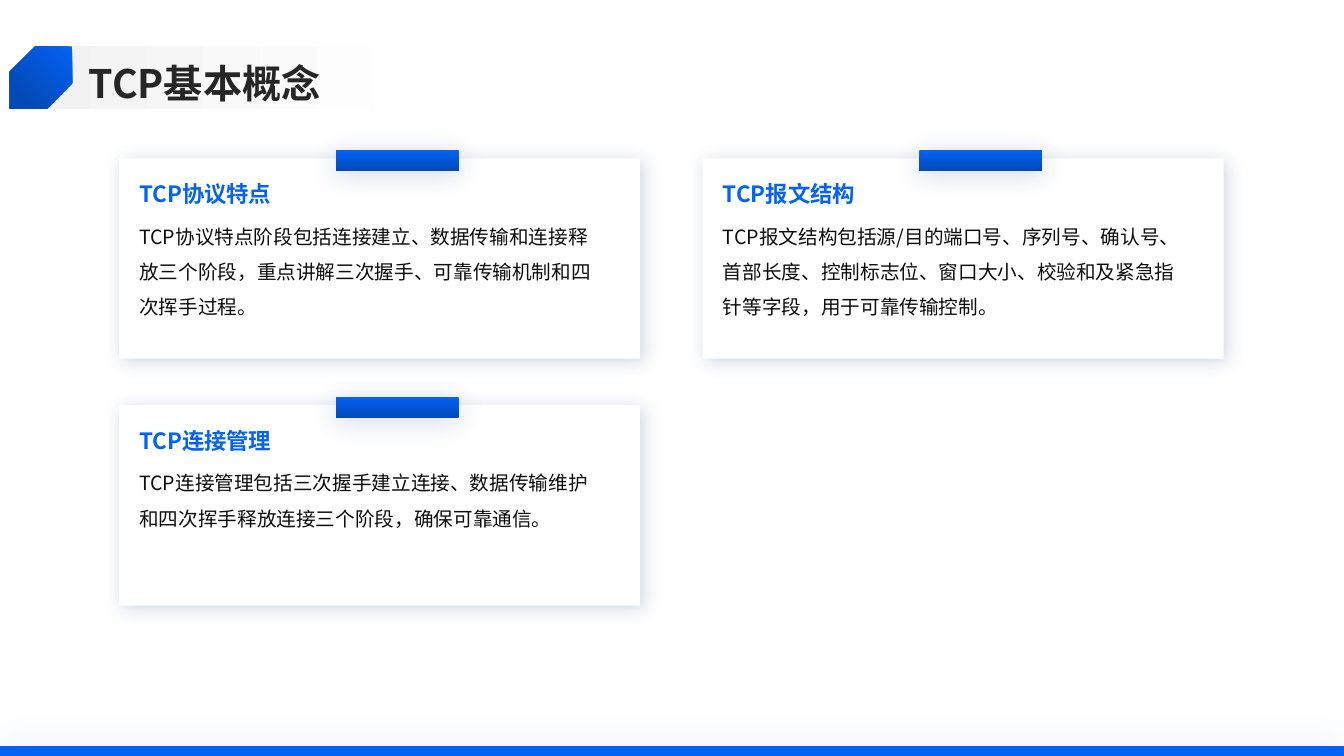
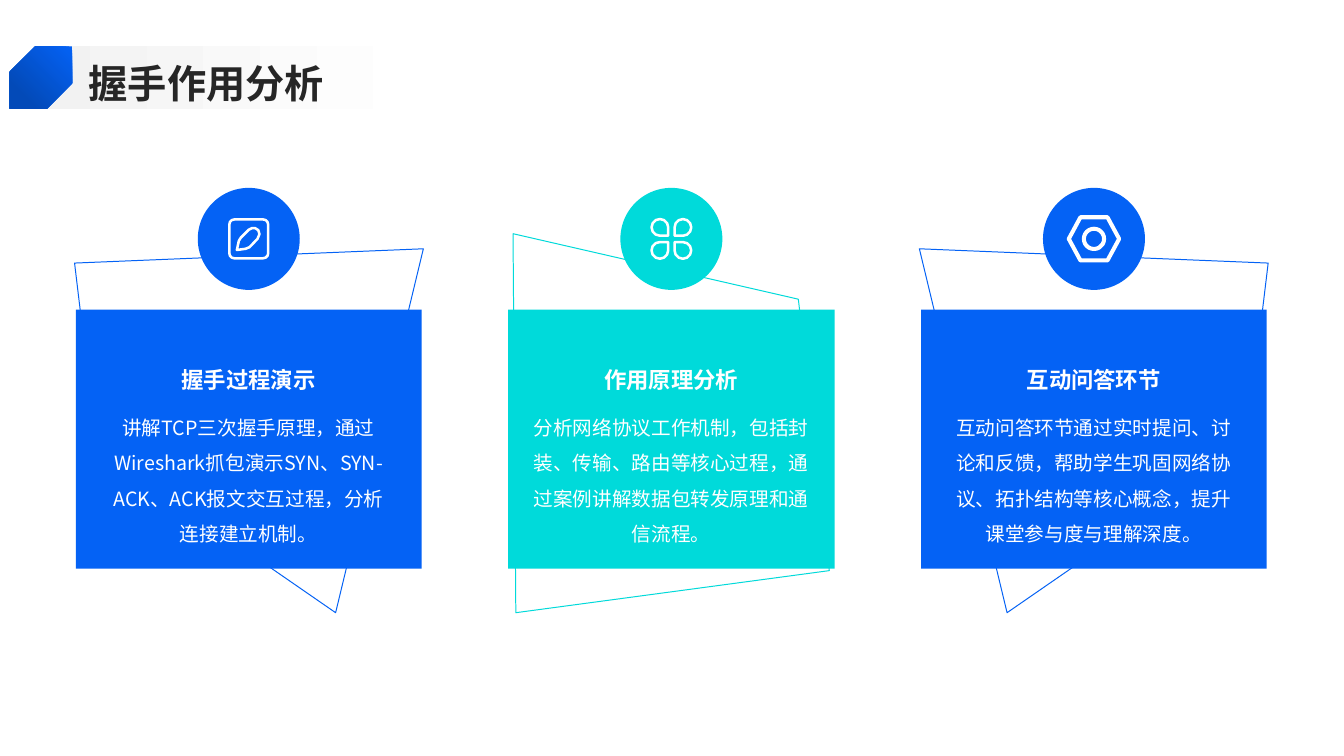
from dataclasses import dataclass
from typing import Callable, NamedTuple, Optional

from lxml import etree
from pptx import Presentation
from pptx.dml.color import RGBColor
from pptx.enum.lang import MSO_LANGUAGE_ID
from pptx.enum.shapes import MSO_SHAPE
from pptx.enum.text import MSO_ANCHOR, PP_ALIGN
from pptx.oxml.ns import qn
from pptx.util import Cm, Pt

RECT, OVAL = MSO_SHAPE.RECTANGLE, MSO_SHAPE.OVAL
ROUNDED, TEARDROP = MSO_SHAPE.ROUNDED_RECTANGLE, MSO_SHAPE.TEAR
HEXAGON, SNIPPED = MSO_SHAPE.HEXAGON, MSO_SHAPE.SNIP_2_DIAG_RECTANGLE
TOP, MIDDLE, BOTTOM = MSO_ANCHOR.TOP, MSO_ANCHOR.MIDDLE, MSO_ANCHOR.BOTTOM
LEFT, CENTER = PP_ALIGN.LEFT, PP_ALIGN.CENTER
CHINESE = MSO_LANGUAGE_ID.SIMPLIFIED_CHINESE

SLIDE_W, SLIDE_H = 33.87, 19.05
FONT = "Noto Sans CJK SC"
COLORS = {
    "blue": "0462F5",
    "deep_blue": "034AB8",
    "cyan": "00DADA",
    "white": "FFFFFF",
    "title_band": "F2F2F2",
    "title": "262626",
    "body": "0D0D0D",
    "shade": "02317B",
}

Points = list[tuple[float, float]]


class Box(NamedTuple):
    """Left, top, width and height in centimetres."""
    left: float
    top: float
    width: float
    height: float


class Gradient(NamedTuple):
    start: str
    end: str
    end_at: float
    clockwise: int


class Shadow(NamedTuple):
    color: str
    opacity: int
    blur: int
    distance: int
    direction: int


class TextStyle(NamedTuple):
    size: int
    color: str
    bold: bool = False
    spacing: float = 1.0
    align: PP_ALIGN = LEFT
    anchor: MSO_ANCHOR = TOP


@dataclass(frozen=True)
class Card:
    column: int
    row: int
    heading: str
    body: str


@dataclass(frozen=True)
class Panel:
    heading: str
    body: str
    color: str
    width: float
    outline: Points
    draw_icon: Callable


TITLE = TextStyle(28, "title", True, 1.1, anchor=MIDDLE)
CARD_HEADING = TextStyle(16, "blue", True)
CARD_BODY = TextStyle(14, "body", spacing=1.5)
PANEL_HEADING = TextStyle(16, "white", True, 1.3, CENTER, BOTTOM)
PANEL_BODY = TextStyle(14, "white", False, 1.5, CENTER)

BAND_FADE = Gradient("title_band", "white", 0.8, 0)
BADGE_FADE = Gradient("blue", "deep_blue", 0.8, 45)
TAB_FADE = Gradient("blue", "deep_blue", 1.0, 90)
FOOTER_GLOW = Shadow("blue", 20, 25, 0, 0)
CARD_SHADOW = Shadow("shade", 19, 13, 3, 45)
TAB_SHADOW = Shadow("shade", 19, 20, 3, 90)


def rgb(name: str) -> RGBColor:
    return RGBColor.from_string(COLORS[name])


def apply(target, values: dict) -> None:
    for attribute, value in values.items():
        setattr(target, attribute, value)


def cast_shadow(shape, shadow: Shadow) -> None:
    effects = shape._element.spPr.find(qn("a:effectLst"))
    outer = etree.SubElement(
        effects, qn("a:outerShdw"), blurRad=str(Pt(shadow.blur)),
        dist=str(Pt(shadow.distance)), dir=str(shadow.direction * 60000),
        algn="ctr", rotWithShape="0")
    color = etree.SubElement(outer, qn("a:srgbClr"), val=COLORS[shadow.color])
    etree.SubElement(color, qn("a:alpha"), val=str(shadow.opacity * 1000))


def add_filled(slide, kind: MSO_SHAPE, box: Box, fill: str | Gradient,
               shadow: Optional[Shadow] = None):
    shape = slide.shapes.add_shape(kind, *map(Cm, box))
    shape.shadow.inherit = False
    shape.line.fill.background()
    if isinstance(fill, Gradient):
        shape.fill.gradient()
        shape.fill.gradient_angle = -fill.clockwise % 360
        ends = ((fill.start, 0.0), (fill.end, fill.end_at))
        for stop, (color, position) in zip(shape.fill.gradient_stops, ends):
            stop.color.rgb = rgb(color)
            stop.position = position
    else:
        shape.fill.solid()
        shape.fill.fore_color.rgb = rgb(fill)
    if shadow:
        cast_shadow(shape, shadow)
    return shape


def leave_outline(shape, color: str, width: float) -> None:
    """Keep only the shape's line."""
    shape.shadow.inherit = False
    shape.fill.background()
    shape.line.color.rgb = rgb(color)
    shape.line.width = Pt(width)


def add_ring(slide, kind: MSO_SHAPE, x: float, y: float, width: float,
             height: float, stroke: float):
    """Draw a white outlined preset centred on x, y."""
    box = Box(x - width / 2, y - height / 2, width, height)
    shape = slide.shapes.add_shape(kind, *map(Cm, box))
    leave_outline(shape, "white", stroke)
    return shape


def add_polygon(slide, x: float, y: float, points: Points, color: str,
                stroke: float) -> None:
    """Outline a closed polygon whose points are offsets from x, y."""
    corners = [(Cm(x + dx), Cm(y + dy)) for dx, dy in points]
    builder = slide.shapes.build_freeform(*corners[0])
    builder.add_line_segments(corners[1:], close=True)
    leave_outline(builder.convert_to_shape(), color, stroke)


def add_text(slide, box: Box, text: str, style: TextStyle) -> None:
    frame = slide.shapes.add_textbox(*map(Cm, box)).text_frame
    apply(frame, {"word_wrap": True, "vertical_anchor": style.anchor,
                  "margin_left": 0, "margin_right": 0,
                  "margin_top": 0, "margin_bottom": 0})
    paragraph = frame.paragraphs[0]
    apply(paragraph, {"alignment": style.align, "line_spacing": style.spacing})
    run = paragraph.add_run()
    run.text = text
    apply(run.font, {"name": FONT, "size": Pt(style.size), "bold": style.bold,
                     "language_id": CHINESE})
    run.font.color.rgb = rgb(style.color)
    etree.SubElement(run._r.get_or_add_rPr(), qn("a:ea"), typeface=FONT)


def add_title(slide, title: str) -> None:
    add_filled(slide, RECT, Box(0.84, 1.17, 12.5, 1.57), BAND_FADE)
    add_text(slide, Box(2.24, 1.37, 30.18, 1.3), title, TITLE)
    badge = add_filled(slide, SNIPPED, Box(0.25, 1.17, 1.57, 1.57), BADGE_FADE)
    badge.adjustments[0], badge.adjustments[1] = 0, 0.408
    badge._element.spPr.xfrm.set("flipH", "1")


def add_card(slide, card: Card) -> None:
    left, top = 3 + 14.71 * card.column, 3.99 + 6.22 * card.row
    add_filled(slide, RECT, Box(left, top, 13.13, 5.05), "white", CARD_SHADOW)
    add_filled(slide, RECT, Box(left + 5.46, top - 0.2, 3.1, 0.51), TAB_FADE,
               TAB_SHADOW)
    text_left = left + 0.51
    add_text(slide, Box(text_left, top + 0.56, 11.58, 0.91), card.heading,
             CARD_HEADING)
    add_text(slide, Box(text_left, top + 1.37, 11.58, 3.35), card.body,
             CARD_BODY)


def draw_pen(slide, x: float, y: float) -> None:
    frame = add_ring(slide, ROUNDED, x, y, 0.98, 0.98, 1.8)
    frame.adjustments[0] = 0.13
    add_polygon(slide, x, y, PEN, "white", 1.8)


def draw_petals(slide, x: float, y: float) -> None:
    for dx, dy, turn in ((-1, -1, 90), (1, -1, 180), (1, 1, 270), (-1, 1, 0)):
        petal = add_ring(slide, TEARDROP, x + 0.29 * dx, y + 0.29 * dy,
                         0.42, 0.42, 1.8)
        petal.rotation = turn


def draw_nut(slide, x: float, y: float) -> None:
    nut = add_ring(slide, HEXAGON, x, y, 1.27, 1.09, 2.9)
    nut.adjustments[0] = 0.27
    add_ring(slide, OVAL, x, y, 0.51, 0.51, 2.9)


def add_panel(slide, panel: Panel, x: float) -> None:
    """Draw a panel with its frame, disc and icon centred on x."""
    disc, disc_y = 2.57, 6.02
    add_polygon(slide, x, 0, panel.outline, panel.color, 0.7)
    add_filled(slide, RECT, Box(x - panel.width / 2, 7.8, panel.width, 6.53),
               panel.color)
    add_filled(slide, OVAL, Box(x - disc / 2, disc_y - disc / 2, disc, disc),
               panel.color)
    add_text(slide, Box(x - 3.6, 8.08, 7.19, 1.83), panel.heading,
             PANEL_HEADING)
    add_text(slide, Box(x - 3.6, 10.19, 7.19, 3.78), panel.body, PANEL_BODY)
    panel.draw_icon(slide, x, disc_y)


PEN = [(-0.3, 0.28), (-0.25, 0.05), (-0.2, -0.03), (0, -0.23), (0.08, -0.27),
       (0.16, -0.27), (0.24, -0.22), (0.27, -0.12), (0.22, 0), (0.02, 0.21),
       (-0.08, 0.25)]
KITE = [(2.19, 15.44), (-3.83, 11.28), (-4.39, 6.63), (4.4, 6.27)]
MIRRORED_KITE = [(-dx, y) for dx, y in KITE]
SLANTED_FRAME = [(3.98, 14.38), (-3.92, 15.44), (-3.99, 5.89), (3.2, 7.54)]

CARDS = [
    Card(0, 0, "TCP协议特点",
         "TCP协议特点阶段包括连接建立、数据传输和连接释放三个阶段，"
         "重点讲解三次握手、可靠传输机制和四次挥手过程。"),
    Card(0, 1, "TCP连接管理",
         "TCP连接管理包括三次握手建立连接、数据传输维护和四次挥手释放连接"
         "三个阶段，确保可靠通信。"),
    Card(1, 0, "TCP报文结构",
         "TCP报文结构包括源/目的端口号、序列号、确认号、首部长度、控制标志位、"
         "窗口大小、校验和及紧急指针等字段，用于可靠传输控制。"),
]
PANELS = [
    Panel("握手过程演示",
          "讲解TCP三次握手原理，通过Wireshark抓包演示SYN、SYN-ACK、ACK报文"
          "交互过程，分析连接建立机制。",
          "blue", 8.71, KITE, draw_pen),
    Panel("作用原理分析",
          "分析网络协议工作机制，包括封装、传输、路由等核心过程，"
          "通过案例讲解数据包转发原理和通信流程。",
          "cyan", 8.23, SLANTED_FRAME, draw_petals),
    Panel("互动问答环节",
          "互动问答环节通过实时提问、讨论和反馈，帮助学生巩固网络协议、"
          "拓扑结构等核心概念，提升课堂参与度与理解深度。",
          "blue", 8.71, MIRRORED_KITE, draw_nut),
]


def main() -> None:
    deck = Presentation()
    deck.slide_width, deck.slide_height = Cm(SLIDE_W), Cm(SLIDE_H)
    blank = deck.slide_layouts[6]

    concepts = deck.slides.add_slide(blank)
    add_filled(concepts, RECT, Box(0, SLIDE_H - 0.25, SLIDE_W, 0.25), "blue",
               FOOTER_GLOW)
    for card in CARDS:
        add_card(concepts, card)
    add_title(concepts, "TCP基本概念")

    handshake = deck.slides.add_slide(blank)
    for index, panel in enumerate(PANELS):
        add_panel(handshake, panel, 6.27 + 10.65 * index)
    add_title(handshake, "握手作用分析")

    deck.save("out.pptx")


if __name__ == "__main__":
    main()
